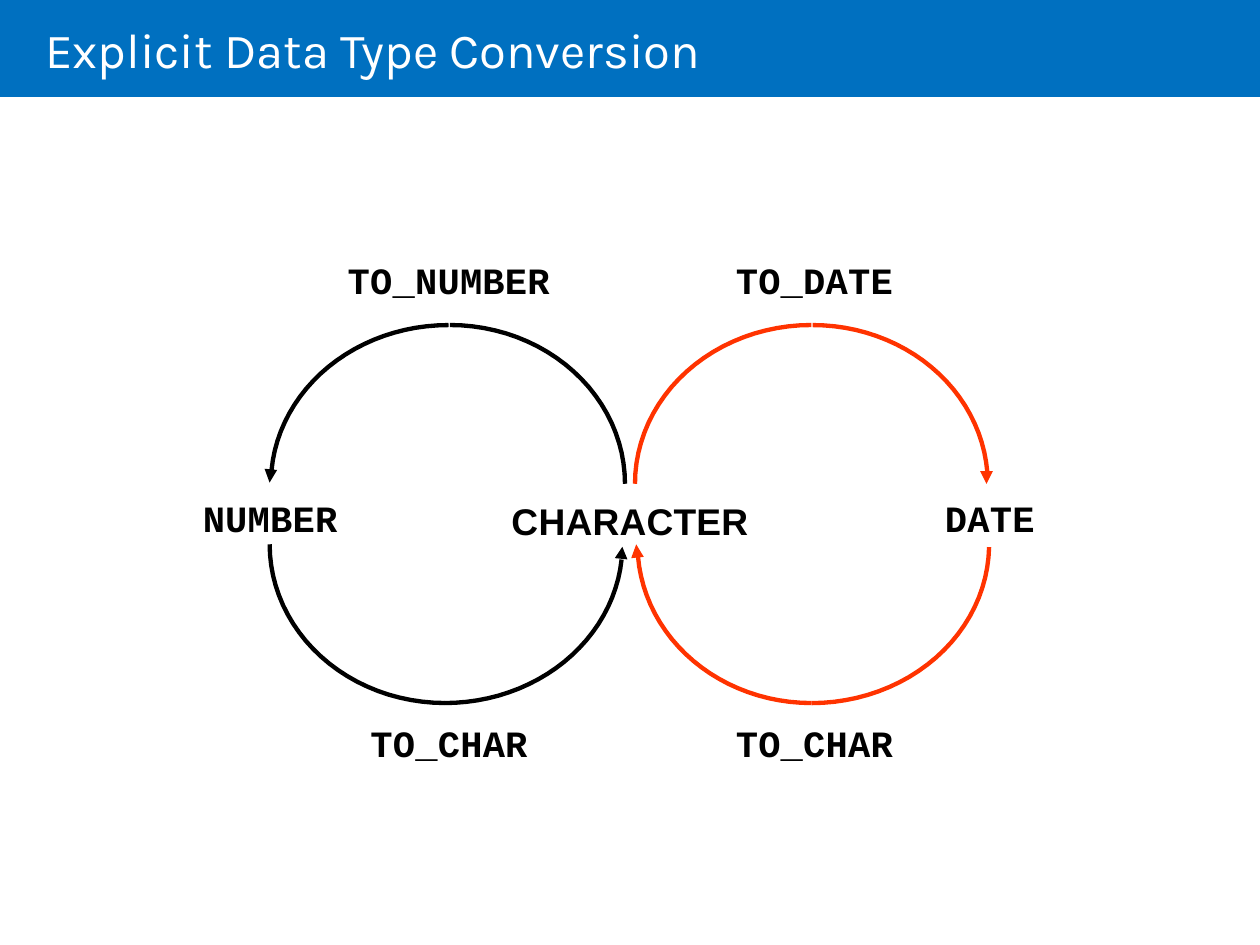
"""Build a slide showing the explicit data type conversions."""
from math import cos, radians, sin

from pptx import Presentation
from pptx.dml.color import RGBColor
from pptx.enum.shapes import MSO_SHAPE
from pptx.enum.text import MSO_ANCHOR, MSO_AUTO_SIZE, PP_ALIGN
from pptx.util import Inches, Pt

COLOURS = {"band": "0070C0", "title": "FFFFFF", "number": "000000", "date": "FF3300", "text": "000000"}
RADIUS_Y = 1.26
UPPER_CENTRE, LOWER_CENTRE = 3.84, 4.32
STEPS = 24

LABELS = [
    ("NUMBER", 1.6, 3.9, 1.1, "Courier New"),
    ("CHARACTER", 4.05, 3.93, 1.9, "Arial"),
    ("DATE", 7.49, 3.9, 0.74, "Courier New"),
    ("TO_NUMBER", 2.75, 2.01, 1.63, "Courier New"),
    ("TO_DATE", 5.83, 2.01, 1.28, "Courier New"),
    ("TO_CHAR", 2.93, 5.69, 1.28, "Courier New"),
    ("TO_CHAR", 5.83, 5.69, 1.28, "Courier New"),
]

# Each arrow: colour, vertical centre, quarters (centre x, radius x, from, to in degrees), head corners.
ARROWS = [
    ("number", LOWER_CENTRE, [(3.53, 1.41, 5.5, 90), (3.53, 1.39, 90, 180)],
     [(4.98, 4.44), (4.94, 4.34), (4.88, 4.43)]),
    ("date", LOWER_CENTRE, [(6.44, 1.41, 1, 90), (6.44, 1.38, 90, 175.5)],
     [(5.11, 4.42), (5.05, 4.32), (5.01, 4.43)]),
    ("number", UPPER_CENTRE, [(3.57, 1.39, 270, 360), (3.56, 1.41, 185, 270)],
     [(2.2, 3.73), (2.1, 3.72), (2.14, 3.83)]),
    ("date", UPPER_CENTRE, [(6.45, 1.39, 270, 355.5), (6.44, 1.4, 180, 270)],
     [(7.88, 3.74), (7.78, 3.74), (7.83, 3.84)]),
]


def colour(name):
    """Return the named colour."""
    return RGBColor.from_string(COLOURS[name])


def add_span(para, text, size, font, colour_name, bold=False):
    """Add one formatted run to a paragraph."""
    span = para.add_run()
    span.text = text
    span.font.size = Pt(size)
    span.font.name = font
    span.font.bold = bold
    span.font.color.rgb = colour(colour_name)
    return span


def set_frame(frame, top_inset):
    """Set the insets and wrapping of a text frame."""
    frame.margin_left = Inches(0.01)
    frame.margin_right = frame.margin_bottom = 0
    frame.margin_top = Inches(top_inset)
    frame.word_wrap = True


def add_title(page, text):
    """Place the title over a full-width band."""
    title = page.shapes.title
    band = page.shapes.add_shape(MSO_SHAPE.RECTANGLE, 0, 0, Inches(10), Inches(0.77))
    band.shadow.inherit = False
    band.fill.solid()
    band.fill.fore_color.rgb = colour("band")
    band.line.fill.background()
    title.element.addprevious(band.element)
    title.left, title.top = Inches(0.35), Inches(0.13)
    title.width, title.height = Inches(9.29), Inches(0.48)
    frame = title.text_frame
    set_frame(frame, 0.03)
    frame.vertical_anchor = MSO_ANCHOR.MIDDLE
    para = frame.paragraphs[0]
    para.alignment = PP_ALIGN.LEFT
    add_span(para, text, 28, "Karla", "title")


def add_label(page, text, left, top, width, font):
    """Add a bold one-line label."""
    box = page.shapes.add_textbox(Inches(left), Inches(top), Inches(width), Inches(0.37))
    frame = box.text_frame
    set_frame(frame, 0.03)
    frame.word_wrap = False
    frame.auto_size = MSO_AUTO_SIZE.SHAPE_TO_FIT_TEXT
    span = add_span(frame.paragraphs[0], text, 21.2, font, "text", bold=True)
    span.font._element.set("spc", "10")


def add_outline(group, points, closed):
    """Add a freeform through points given in inches."""
    corners = [(Inches(x), Inches(y)) for x, y in points]
    builder = group.shapes.build_freeform(*corners[0])
    builder.add_line_segments(corners[1:], close=closed)
    outline = builder.convert_to_shape()
    outline.shadow.inherit = False
    return outline


def add_quarter(group, colour_name, centre_y, centre_x, radius_x, start, end):
    """Add a quarter of an ellipse as an open line."""
    angles = [radians(start + (end - start) * step / STEPS) for step in range(STEPS + 1)]
    points = [(centre_x + radius_x * cos(angle), centre_y + RADIUS_Y * sin(angle)) for angle in angles]
    quarter = add_outline(group, points, closed=False)
    quarter.fill.background()
    quarter.line.color.rgb = colour(colour_name)
    quarter.line.width = Pt(2.46)


def add_arrow(page, colour_name, centre_y, quarters, head_corners):
    """Add a half-ellipse arrow as a group of two quarters and a head."""
    group = page.shapes.add_group_shape()
    for quarter in quarters:
        add_quarter(group, colour_name, centre_y, *quarter)
    head = add_outline(group, head_corners, closed=True)
    head.fill.solid()
    head.fill.fore_color.rgb = colour(colour_name)
    head.line.fill.background()


def main():
    """Build and save the deck."""
    deck = Presentation()
    deck.slide_width, deck.slide_height = Inches(10), Inches(7.5)
    page = deck.slides.add_slide(deck.slide_layouts[5])
    add_title(page, "Explicit Data Type Conversion")
    for arrow in ARROWS:
        add_arrow(page, *arrow)
    for label in LABELS:
        add_label(page, *label)
    deck.save("out.pptx")


if __name__ == "__main__":
    main()
